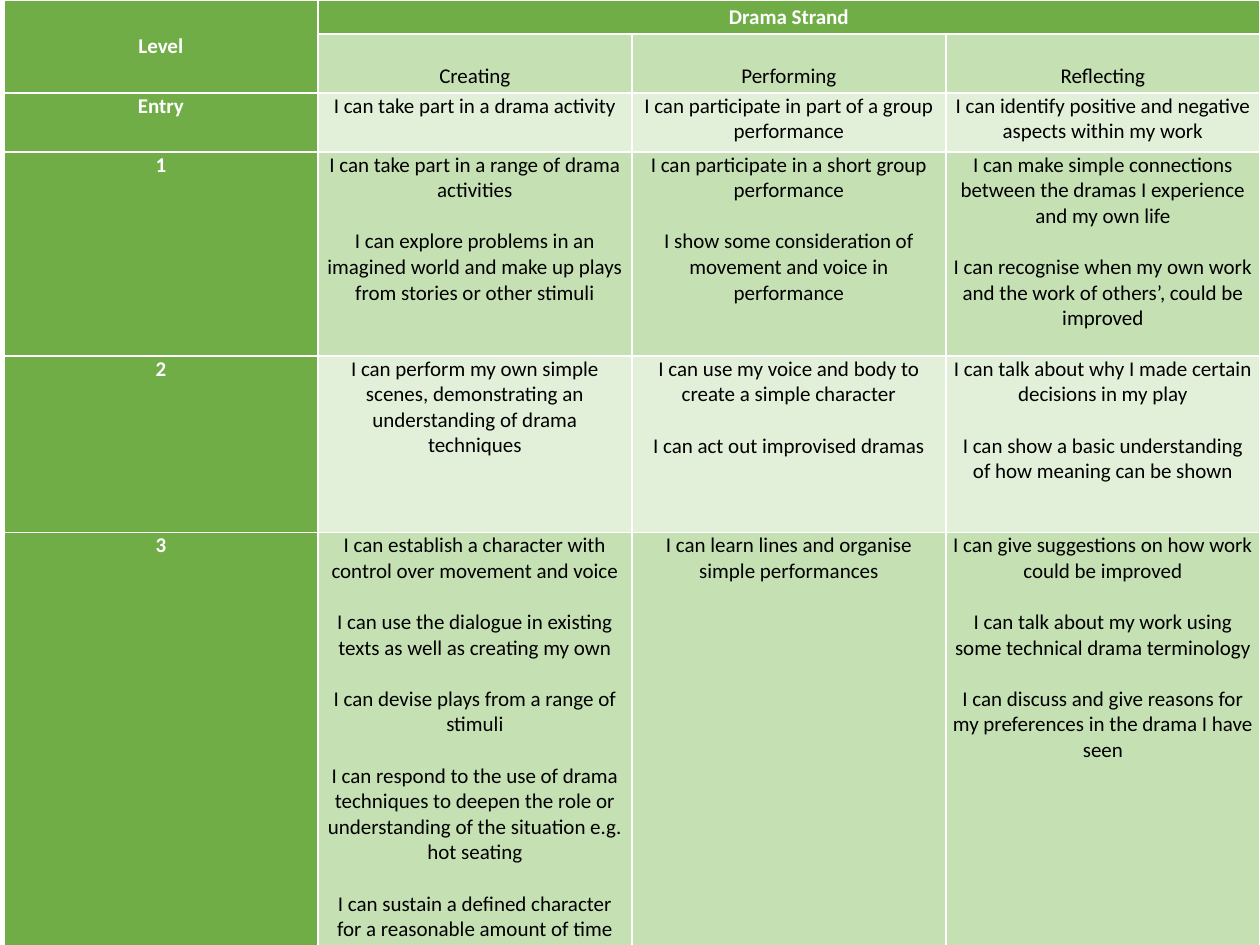
import dataclasses

import lxml.etree
import pptx
import pptx.dml.color
import pptx.enum.text
import pptx.oxml.ns
import pptx.table
import pptx.util

COLORS = {
    "header": "70AD47",
    "dark_band": "C5E0B3",
    "light_band": "E2EFD9",
    "white": "FFFFFF",
    "black": "000000",
}
LINE_PITCH = 14.65
COLUMN_WIDTH = 179.45
ANCHOR = pptx.enum.text.MSO_ANCHOR


@dataclasses.dataclass(frozen=True)
class Level:
    name: str
    height: float
    band: str
    statements: tuple[tuple[str, ...], ...]


STRANDS = ("Creating", "Performing", "Reflecting")
HEADER_HEIGHTS = (19.4, 33.8)
LEVELS = (
    Level("Entry", 33.8, "light_band", (
        ("I can take part in a drama activity",),
        ("I can participate in part of a group performance",),
        ("I can identify positive and negative aspects within my work",),
    )),
    Level("1", 116.6, "dark_band", (
        ("I can take part in a range of drama activities",
         "I can explore problems in an imagined world and make up plays from stories or other stimuli"),
        ("I can participate in a short group performance",
         "I show some consideration of movement and voice in performance"),
        ("I can make simple connections between the dramas I experience and my own life",
         "I can recognise when my own work and the work of others’, could be improved"),
    )),
    Level("2", 100.8, "light_band", (
        ("I can perform my own simple scenes, demonstrating an understanding of drama techniques",),
        ("I can use my voice and body to create a simple character",
         "I can act out improvised dramas"),
        ("I can talk about why I made certain decisions in my play",
         "I can show a basic understanding of how meaning can be shown"),
    )),
    Level("3", 252, "dark_band", (
        ("I can establish a character with control over movement and voice",
         "I can use the dialogue in existing texts as well as creating my own",
         "I can devise plays from a range of stimuli",
         "I can respond to the use of drama techniques to deepen the role or understanding "
         "of the situation e.g. hot seating",
         "I can sustain a defined character for a reasonable amount of time"),
        ("I can learn lines and organise simple performances",),
        ("I can give suggestions on how work could be improved",
         "I can talk about my work using some technical drama terminology",
         "I can discuss and give reasons for my preferences in the drama I have seen"),
    )),
)


def color(name: str) -> pptx.dml.color.RGBColor:
    return pptx.dml.color.RGBColor.from_string(COLORS[name])


def draw_borders(cell: pptx.table._Cell) -> None:
    properties = cell._tc.get_or_add_tcPr()
    for side in ("lnL", "lnR", "lnT", "lnB"):
        line = lxml.etree.SubElement(properties, pptx.oxml.ns.qn(f"a:{side}"), w=str(pptx.util.Pt(1)))
        fill = lxml.etree.SubElement(line, pptx.oxml.ns.qn("a:solidFill"))
        lxml.etree.SubElement(fill, pptx.oxml.ns.qn("a:srgbClr"), val=COLORS["white"])


def style_cell(cell: pptx.table._Cell, fill: str) -> None:
    draw_borders(cell)
    cell.fill.solid()
    cell.fill.fore_color.rgb = color(fill)
    cell.margin_left = cell.margin_right = pptx.util.Pt(3.6)
    cell.margin_top = cell.margin_bottom = pptx.util.Pt(0)


def write_cell(cell: pptx.table._Cell, texts: tuple[str, ...], heading: bool,
               anchor: ANCHOR = ANCHOR.TOP) -> None:
    cell.text_frame.text = "\n".join(texts)
    cell.vertical_anchor = anchor
    for index, paragraph in enumerate(cell.text_frame.paragraphs):
        paragraph.alignment = pptx.enum.text.PP_ALIGN.CENTER
        paragraph.space_before = pptx.util.Pt(LINE_PITCH if index else 0)
        for run in paragraph.runs:
            run.font.name = "Calibri"
            run.font.size = pptx.util.Pt(12)
            run.font.bold = heading
            run.font.color.rgb = color("white" if heading else "black")


def fill_headers(table: pptx.table.Table) -> None:
    for column in range(len(STRANDS) + 1):
        style_cell(table.cell(0, column), "header")
        style_cell(table.cell(1, column), "dark_band" if column else "header")
    table.cell(0, 0).merge(table.cell(1, 0))
    table.cell(0, 1).merge(table.cell(0, len(STRANDS)))
    write_cell(table.cell(0, 0), ("Level",), True, ANCHOR.MIDDLE)
    write_cell(table.cell(0, 1), ("Drama Strand",), True, ANCHOR.MIDDLE)
    for column, strand in enumerate(STRANDS, start=1):
        cell = table.cell(1, column)
        write_cell(cell, (strand,), False, ANCHOR.BOTTOM)
        cell.margin_bottom = pptx.util.Pt(2.2)


def fill_level(table: pptx.table.Table, row: int, level: Level) -> None:
    style_cell(table.cell(row, 0), "header")
    write_cell(table.cell(row, 0), (level.name,), True)
    for column, texts in enumerate(level.statements, start=1):
        style_cell(table.cell(row, column), level.band)
        write_cell(table.cell(row, column), texts, False)


def main() -> None:
    presentation = pptx.Presentation()
    presentation.slide_width = pptx.util.Pt(720)
    presentation.slide_height = pptx.util.Pt(540)
    slide = presentation.slides.add_slide(presentation.slide_layouts[6])

    heights = (*HEADER_HEIGHTS, *(level.height for level in LEVELS))
    columns = len(STRANDS) + 1
    table = slide.shapes.add_table(
        len(heights), columns, pptx.util.Pt(2.2), pptx.util.Pt(0),
        pptx.util.Pt(COLUMN_WIDTH * columns), pptx.util.Pt(sum(heights)),
    ).table
    for column in table.columns:
        column.width = pptx.util.Pt(COLUMN_WIDTH)
    for row, height in zip(table.rows, heights):
        row.height = pptx.util.Pt(height)

    fill_headers(table)
    for row, level in enumerate(LEVELS, start=len(HEADER_HEIGHTS)):
        fill_level(table, row, level)
    presentation.save("out.pptx")


if __name__ == "__main__":
    main()
